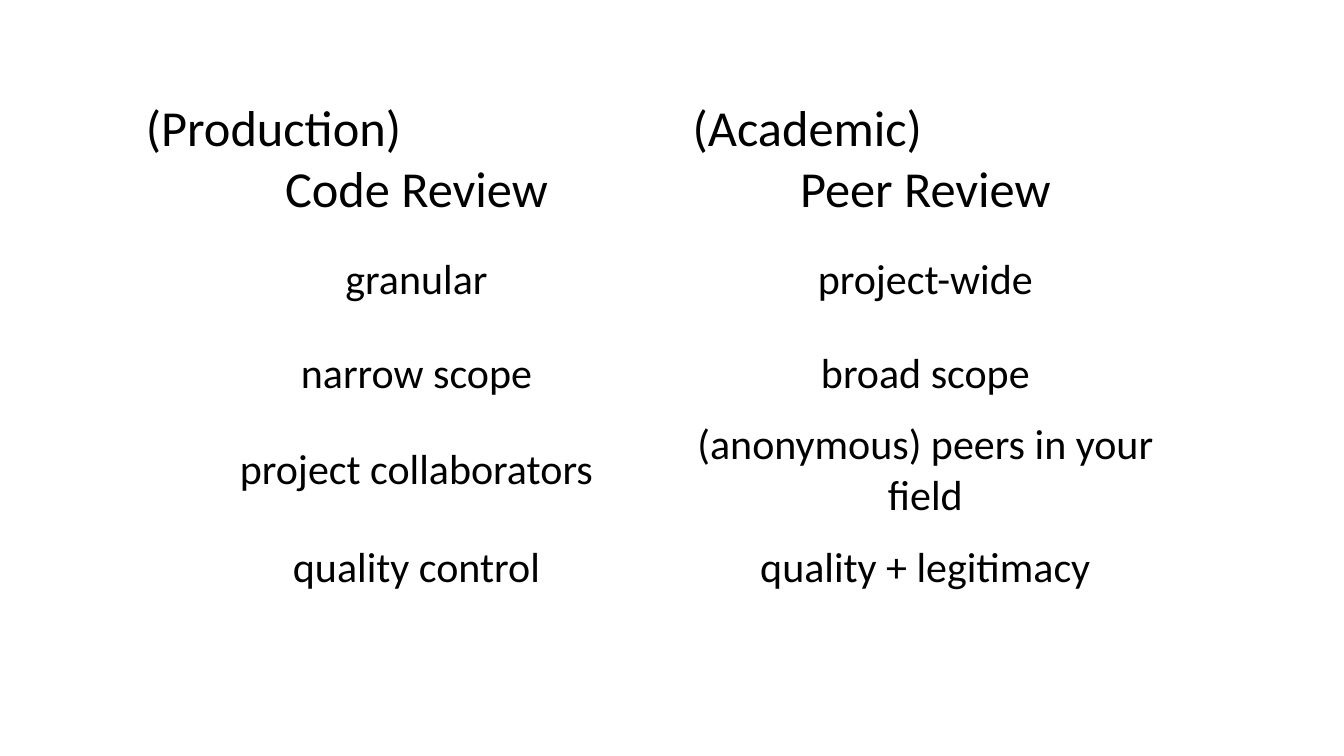
"""Build a slide comparing production code review with academic peer review."""
from pptx import Presentation
from pptx.dml.color import RGBColor
from pptx.enum import text
from pptx.util import Pt

BLACK = RGBColor(0, 0, 0)
NO_STYLE_NO_GRID = "{2D5ABB26-0587-4C30-8999-92F81FD0307C}"

comparison = [
    ("(Production)\nCode Review", "(Academic)\nPeer Review"),
    ("granular", "project-wide"),
    ("narrow scope", "broad scope"),
    ("project collaborators", "(anonymous) peers in your field"),
    ("quality control", "quality + legitimacy"),
]
column_widths = [781, 673]
row_heights = [192, 152, 117, 158, 122]

deck = Presentation()
deck.slide_width, deck.slide_height = Pt(1920), Pt(1080)
slide = deck.slides.add_slide(deck.slide_layouts[6])

reviews = slide.shapes.add_table(
    len(row_heights), len(column_widths), Pt(204.5), Pt(132),
    Pt(sum(column_widths)), Pt(sum(row_heights))).table
reviews.first_row = reviews.horz_banding = False
reviews._tbl.tblPr[0].text = NO_STYLE_NO_GRID

for column, width in zip(reviews.columns, column_widths):
    column.width = Pt(width)

for row, height, aspects in zip(reviews.rows, row_heights, comparison):
    row.height = Pt(height)
    for cell, aspect in zip(row.cells, aspects):
        cell.fill.background()
        cell.vertical_anchor = text.MSO_ANCHOR.MIDDLE
        cell.margin_left = cell.margin_right = Pt(4)
        cell.margin_top = cell.margin_bottom = Pt(4)
        cell.text_frame.text = aspect
        is_heading = "\n" in aspect
        for paragraph in cell.text_frame.paragraphs:
            paragraph.alignment = text.PP_ALIGN.CENTER
            font = paragraph.runs[0].font
            font.name = "Calibri"
            font.size = Pt(72 if is_heading else 60)
            font.color.rgb = BLACK
        if is_heading:
            cell.text_frame.paragraphs[0].alignment = text.PP_ALIGN.LEFT

deck.save("out.pptx")
